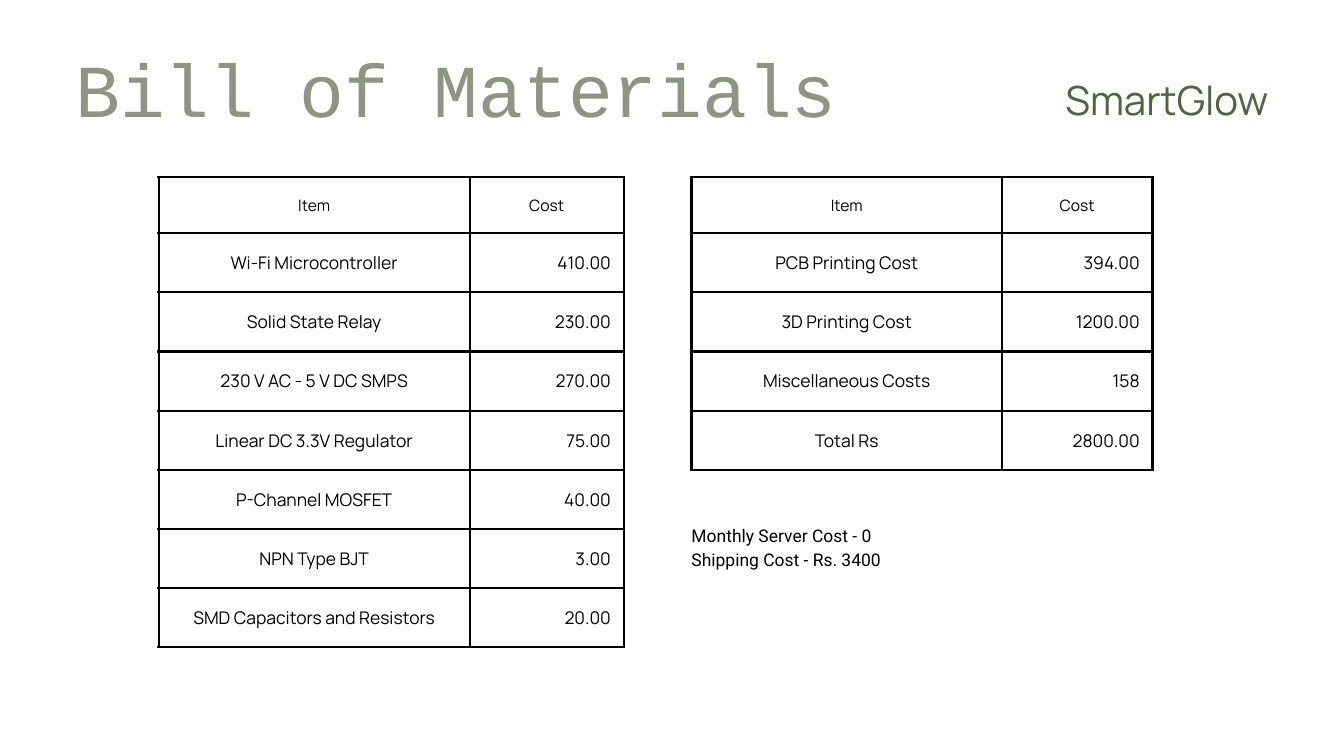
import pptx
import pptx.dml.color
import pptx.enum.text
import pptx.oxml
import pptx.oxml.ns
import pptx.util
from pptx.util import Inches

COLORS = {"ink": "000000", "paper": "FFFFFF", "sage": "8E9681", "leaf": "4E663B"}
ALIGN = pptx.enum.text.PP_ALIGN
HEADER = ("Item", "Cost")
PARTS = [
    ("Wi-Fi Microcontroller", "410.00"),
    ("Solid State Relay", "230.00"),
    ("230 V AC - 5 V DC SMPS", "270.00"),
    ("Linear DC 3.3V Regulator", "75.00"),
    ("P-Channel MOSFET", "40.00"),
    ("NPN Type BJT", "3.00"),
    ("SMD Capacitors and Resistors", "20.00"),
]
SERVICES = [
    ("PCB Printing Cost", "394.00"),
    ("3D Printing Cost", "1200.00"),
    ("Miscellaneous Costs", "158"),
    ("Total Rs", "2800.00"),
]


class Deck:
    """Style and current slide."""

    border_width = 2.61
    cell_margin = 0.19
    header_height = 0.83
    row_height = 0.88
    header_text = {"size": 16.8, "spacing": 23.5}
    body_text = {"size": 18.7, "spacing": 26.1}

    def __init__(self, slide):
        self.slide = slide

    def color(self, name):
        return pptx.dml.color.RGBColor.from_string(COLORS[name])

    def background(self, color):
        self.slide.background.fill.solid()
        self.slide.background.fill.fore_color.rgb = self.color(color)

    def add_lines(self, frame, lines, size, spacing, font="Manrope", color="ink",
                  align=ALIGN.LEFT):
        for index, line in enumerate(lines):
            paragraph = frame.add_paragraph() if index else frame.paragraphs[0]
            paragraph.alignment = align
            paragraph.line_spacing = pptx.util.Pt(spacing)
            run = paragraph.add_run()
            run.text = line
            for name, value in {"name": font, "size": pptx.util.Pt(size)}.items():
                setattr(run.font, name, value)
            run.font.color.rgb = self.color(color)

    def text(self, left, top, width, height, lines, **style):
        box = self.slide.shapes.add_textbox(
            Inches(left), Inches(top), Inches(width), Inches(height))
        frame = box.text_frame
        layout = {"word_wrap": True, "margin_left": 0, "margin_top": 0,
                  "margin_right": 0, "margin_bottom": 0}
        for name, value in layout.items():
            setattr(frame, name, value)
        self.add_lines(frame, lines, **style)

    def border(self, cell):
        properties = cell._tc.get_or_add_tcPr()
        for position, edge in enumerate(("lnL", "lnR", "lnT", "lnB")):
            properties.insert(position, pptx.oxml.parse_xml(
                f'<a:{edge} {pptx.oxml.ns.nsdecls("a")} w="{pptx.util.Pt(self.border_width)}">'
                f'<a:solidFill><a:srgbClr val="{COLORS["ink"]}"/></a:solidFill>'
                f'<a:prstDash val="solid"/></a:{edge}>'))

    def cost_table(self, left, top, widths, items):
        rows = [HEADER, *items]
        heights = [self.header_height] + [self.row_height] * len(items)
        table = self.slide.shapes.add_table(
            len(rows), len(widths), Inches(left), Inches(top),
            Inches(sum(widths)), Inches(sum(heights))).table
        table.horz_banding = False
        table.first_row = False
        for column, width in zip(table.columns, widths):
            column.width = Inches(width)
        margin = Inches(self.cell_margin)
        layout = {"vertical_anchor": pptx.enum.text.MSO_ANCHOR.MIDDLE,
                  "margin_left": margin, "margin_top": margin,
                  "margin_right": margin, "margin_bottom": margin}
        for r, values in enumerate(rows):
            table.rows[r].height = Inches(heights[r])
            for c, value in enumerate(values):
                cell = table.cell(r, c)
                for name, setting in layout.items():
                    setattr(cell, name, setting)
                cell.fill.background()
                self.border(cell)
                self.add_lines(cell.text_frame, [value],
                               align=ALIGN.RIGHT if r and c else ALIGN.CENTER,
                               **(self.body_text if r else self.header_text))


def main():
    presentation = pptx.Presentation()
    presentation.slide_width = Inches(20)
    presentation.slide_height = Inches(11.25)
    deck = Deck(presentation.slides.add_slide(presentation.slide_layouts[6]))
    deck.background("paper")

    # Title and project name
    deck.text(1.12, 0.75, 14.23, 1.39, ["Bill of Materials"],
              size=80, spacing=88, font="Courier New", color="sage")
    deck.text(15.22, 1, 3.65, 0.84, ["SmartGlow"],
              size=43, spacing=60.1, color="leaf", align=ALIGN.RIGHT)

    # Cost tables
    deck.cost_table(2.36, 2.64, (4.63, 2.29), PARTS)
    deck.cost_table(10.29, 2.64, (4.62, 2.24), SERVICES)

    # Running costs
    deck.text(10.29, 7.76, 7.35, 0.72,
              ["Monthly Server Cost - 0", "Shipping Cost - Rs. 3400"],
              font="Roboto", **deck.body_text)

    presentation.save("out.pptx")


if __name__ == "__main__":
    main()
